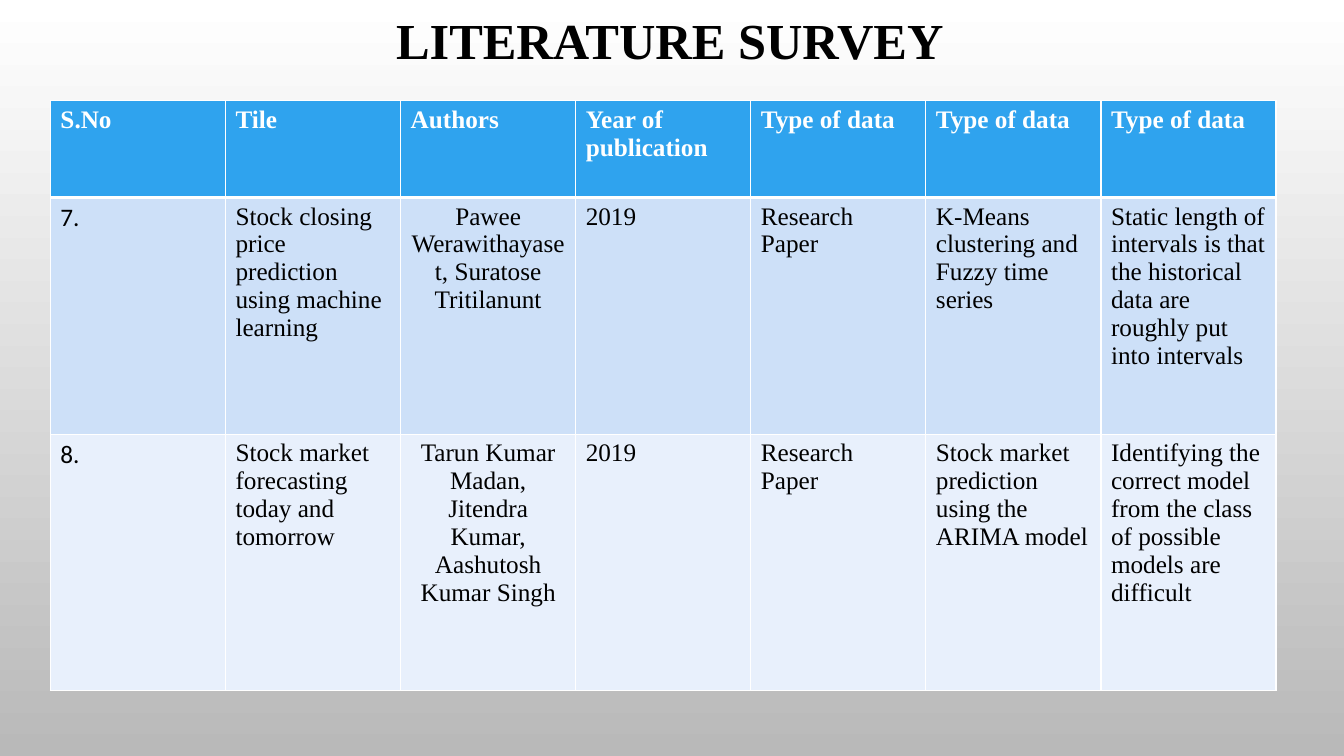
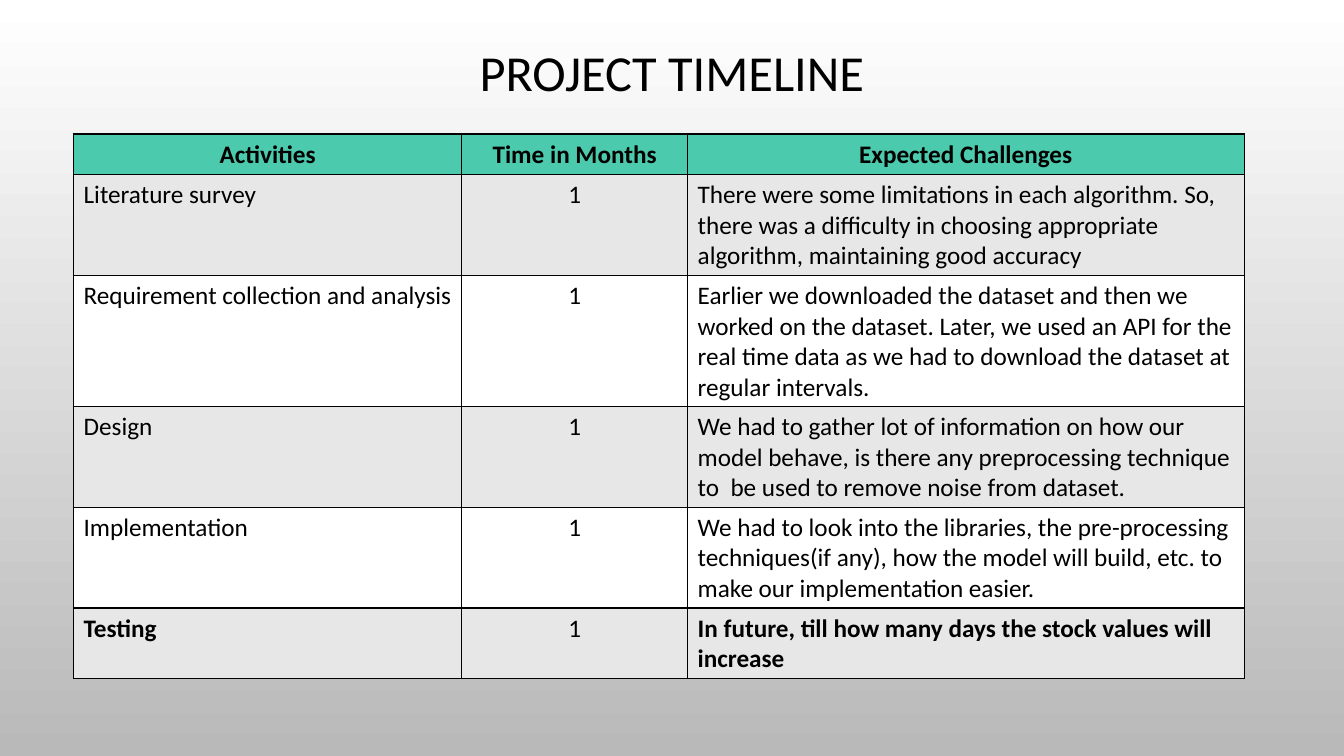
import pptx
import pptx.dml.color
import pptx.enum.text
import pptx.oxml
import pptx.oxml.ns
import pptx.util

Inches = pptx.util.Inches
Pt = pptx.util.Pt
ALIGN = pptx.enum.text.PP_ALIGN
SERIF, SANS = "Times New Roman", "Calibri"
BLACK, WHITE = "000000", "FFFFFF"


def rgb(value):
    return pptx.dml.color.RGBColor.from_string(value)


class Deck:
    """Shared style and the slide being built."""
    backdrop = (WHITE, "B9B9B9")
    title_size, body_size = 36, 18

    def __init__(self):
        self.prs = pptx.Presentation()
        self.prs.slide_width = Inches(13.33)
        self.prs.slide_height = Inches(7.5)

    def add_slide(self):
        self.slide = self.prs.slides.add_slide(self.prs.slide_layouts[6])
        fill = self.slide.background.fill
        fill.gradient()
        fill.gradient_angle = 270
        for stop, color in zip(fill.gradient_stops, self.backdrop):
            stop.color.rgb = rgb(color)

    def style(self, p, font, size, color=BLACK, bold=False, align=ALIGN.LEFT):
        p.alignment = align
        p.font.name = font
        p.font.size = Pt(size)
        p.font.bold = bold
        p.font.color.rgb = rgb(color)

    def title(self, text, left, top, width, height, font, bold=False):
        box = self.slide.shapes.add_textbox(
            Inches(left), Inches(top), Inches(width), Inches(height))
        tf = box.text_frame
        tf.word_wrap = True
        tf.vertical_anchor = pptx.enum.text.MSO_ANCHOR.MIDDLE
        p = tf.paragraphs[0]
        p.text = text
        p.line_spacing = 0.9
        self.style(p, font, self.title_size, bold=bold, align=ALIGN.CENTER)

    def borders(self, cell, color, widths):
        """Widths in points, in the order left, right, top, bottom."""
        tcPr = cell._tc.get_or_add_tcPr()
        for side, width in zip("LRTB", widths):
            tcPr.append(pptx.oxml.parse_xml(
                f'<a:ln{side} {pptx.oxml.ns.nsdecls("a")} w="{Pt(width)}">'
                f'<a:solidFill><a:srgbClr val="{color}"/></a:solidFill>'
                f'</a:ln{side}>'))

    def table(self, rows, left, top, height, col_widths, row_heights, fills,
              border, font, header_color, centered, header_align=None,
              header_rule=1, fonts=None, bold_cells=()):
        """fills holds the header colour, then the two band colours."""
        frame = self.slide.shapes.add_table(
            len(rows), len(col_widths), Inches(left), Inches(top),
            Inches(sum(col_widths)), Inches(height))
        tbl = frame.table
        tbl.first_row = tbl.horz_banding = False
        for col, width in zip(tbl.columns, col_widths):
            col.width = Inches(width)
        for row, row_height in zip(tbl.rows, row_heights):
            row.height = Inches(row_height)
        frame.height = Inches(height)

        for i, row in enumerate(rows):
            header = i == 0
            for j, text in enumerate(row):
                cell = tbl.cell(i, j)
                cell.text = text
                self.borders(cell, border, (1, 1, header_rule if i == 1 else 1,
                                            header_rule if header else 1))
                cell.fill.solid()
                cell.fill.fore_color.rgb = rgb(
                    fills[0] if header else fills[2 - i % 2])
                align = ALIGN.CENTER if j == centered else ALIGN.LEFT
                if header:
                    align = header_align or ALIGN.LEFT
                cell_font = font if header else (fonts or {}).get(j, font)
                for p in cell.text_frame.paragraphs:
                    self.style(p, cell_font, self.body_size,
                               header_color if header else BLACK,
                               header or (i, j) in bold_cells, align)


deck = Deck()

# Literature survey
deck.add_slide()
deck.title("LITERATURE SURVEY", 0.98, 0, 11.33, 0.85, SERIF, bold=True)
papers = [
    ["S.No", "Tile", "Authors", "Year of publication"] + ["Type of data"] * 3,
    ["7.", "Stock closing price prediction using machine\nlearning",
     "Pawee Werawithayaset, Suratose Tritilanunt", "2019", "Research Paper",
     "K-Means clustering and Fuzzy time series",
     "Static length of intervals is that the historical data are roughly "
     "put into intervals"],
    ["8.", "Stock market forecasting today and tomorrow",
     "Tarun Kumar Madan, Jitendra Kumar, Aashutosh Kumar Singh", "2019",
     "Research Paper", "Stock market prediction using the ARIMA model",
     "Identifying the correct model from the class of possible models are "
     "difficult"],
]
deck.table(papers, 0.5, 1, 5.89, [1.737] * 7, [0.96, 2.35, 2.54],
           ("2FA3EE", "CDE0F8", "E8F0FC"), WHITE, SERIF, WHITE, centered=2,
           header_rule=3, fonts={0: SANS})

# Project timeline
deck.add_slide()
deck.title("PROJECT TIMELINE", 1, 0.33, 11.33, 0.84, SANS)
activities = [
    ("Literature survey",
     "There were some limitations in each algorithm. So, there was a "
     "difficulty in choosing appropriate algorithm, maintaining good "
     "accuracy"),
    ("Requirement collection and analysis",
     "Earlier we downloaded the dataset and then we worked on the dataset. "
     "Later, we used an API for the real time data as we had to download "
     "the dataset at regular intervals."),
    ("Design",
     "We had to gather lot of information on how our model behave, is there "
     "any preprocessing technique to  be used to remove noise from dataset."),
    ("Implementation",
     "We had to look into the libraries, the pre-processing techniques(if "
     "any), how the model will build, etc. to make our implementation "
     "easier."),
    ("Testing",
     "In future, till how many days the stock values will increase"),
]
timeline = [["Activities", "Time in Months", "Expected Challenges"]]
timeline += [[name, "1", challenge] for name, challenge in activities]
deck.table(timeline, 0.73, 1.33, 5.4, [3.85, 2.24, 5.52],
           [0.36, 0.62, 0.62, 0.36, 0.36, 0.69],
           ("4BCAAD", "E7E7E7", WHITE), BLACK, SANS, BLACK, centered=1,
           header_align=ALIGN.CENTER, bold_cells={(5, 0), (5, 2)})

deck.prs.save("out.pptx")
